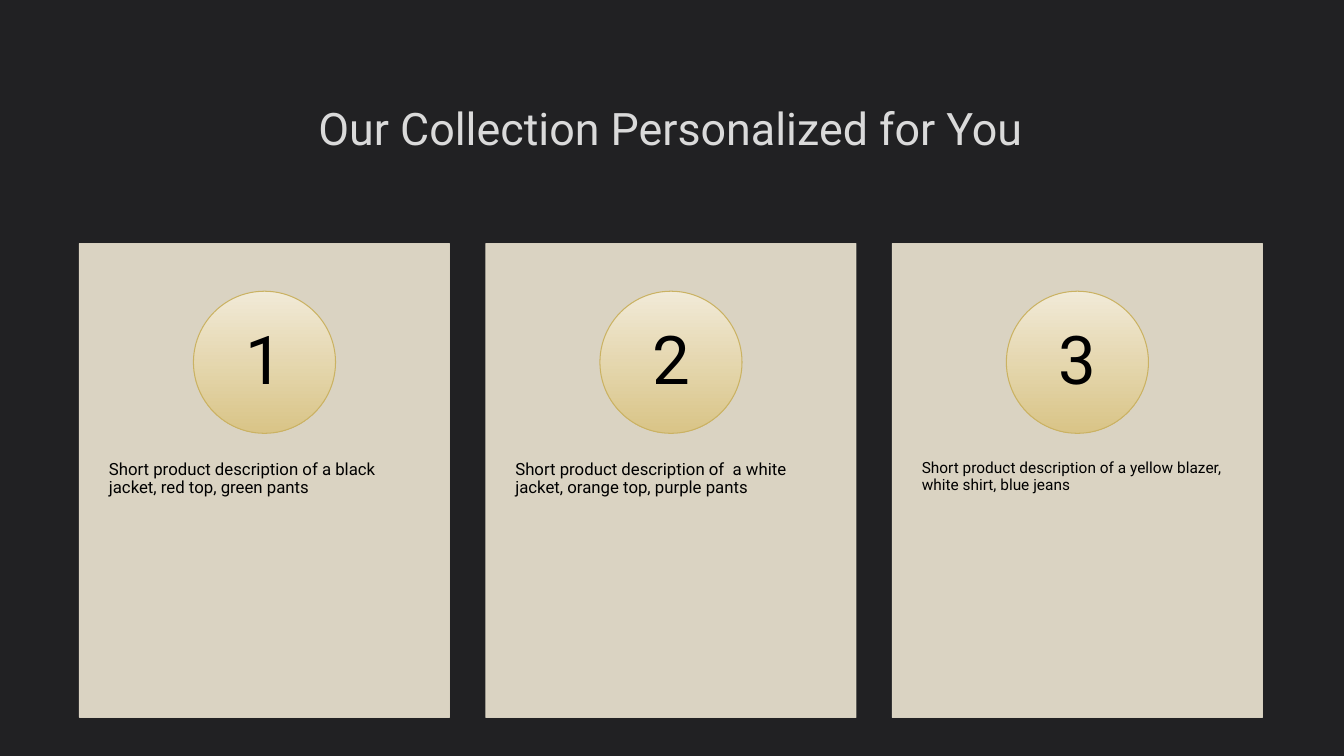
from lxml.etree import SubElement
from pptx import Presentation
from pptx.dml.color import RGBColor
from pptx.enum.shapes import MSO_SHAPE
from pptx.enum.text import MSO_ANCHOR, PP_ALIGN
from pptx.oxml import parse_xml
from pptx.oxml.ns import nsdecls, qn
from pptx.util import Pt

DARK = RGBColor(0x21, 0x21, 0x23)
SILVER = RGBColor(0xDA, 0xDA, 0xDA)
BLACK = RGBColor(0, 0, 0)
CREAM = RGBColor(0xEF, 0xE7, 0xD4)
CREAM_EDGE = RGBColor(0xE4, 0xDD, 0xCB)
GOLD_LIGHT = RGBColor(0xF1, 0xEA, 0xD7)
GOLD_DARK = RGBColor(0xD9, 0xC4, 0x87)
GOLD_EDGE = RGBColor(0xCA, 0xB2, 0x63)

CARDS = [
    ("Short product description of a black jacket, red top, green pants", 12),
    ("Short product description of  a white jacket, orange top, purple pants", 12),
    ("Short product description of a yellow blazer, white shirt, blue jeans", 11),
]


def write(sp, text, size, color=BLACK, align=PP_ALIGN.LEFT,
          anchor=MSO_ANCHOR.TOP, insets=(0, 0, 0, 0), spacing=0.9):
    """Put one formatted paragraph in a shape and return its run."""
    tf = sp.text_frame
    tf.word_wrap = True
    tf.vertical_anchor = anchor
    tf.margin_left, tf.margin_top, tf.margin_right, tf.margin_bottom = map(Pt, insets)
    p = tf.paragraphs[0]
    p.alignment = align
    p.line_spacing = spacing
    r = p.add_run()
    r.text = text
    r.font.size = Pt(size)
    r.font.name = "Roboto"
    r.font.color.rgb = color
    return r


def add_outlined(s, kind, box, edge):
    """Add a shadowless preset shape with a thin line."""
    sp = s.shapes.add_shape(kind, *map(Pt, box))
    sp.shadow.inherit = False
    sp.line.color.rgb = edge
    sp.line.width = Pt(0.75)
    return sp


def add_title(s, text, box):
    """Fill the title placeholder with outlined, shadowed text."""
    sp = s.shapes.title
    sp.left, sp.top, sp.width, sp.height = map(Pt, box)
    r = write(sp, text, 32, SILVER, PP_ALIGN.CENTER, MSO_ANCHOR.MIDDLE,
              (7.2, 3.6, 7.2, 3.6), 1.0)
    rPr = r.font.fill._xPr
    rPr.insert(0, parse_xml(
        f'<a:ln {nsdecls("a")} w="9525"><a:solidFill><a:srgbClr val="404040">'
        '<a:alpha val="10000"/></a:srgbClr></a:solidFill></a:ln>'))
    rPr.find(qn("a:solidFill")).addnext(parse_xml(
        f'<a:effectLst {nsdecls("a")}><a:outerShdw blurRad="38100" dist="25400" '
        'dir="2700000"><a:srgbClr val="000000"><a:alpha val="60000"/>'
        '</a:srgbClr></a:outerShdw></a:effectLst>'))


def add_card(s, number, text, size, box):
    """Draw a card with a numbered gold disc above its description."""
    x, y, w, h = box
    card = add_outlined(s, MSO_SHAPE.RECTANGLE, box, CREAM_EDGE)
    card.fill.solid()
    card.fill.fore_color.rgb = CREAM
    for clr in card._element.spPr.iter(qn("a:srgbClr")):
        SubElement(clr, qn("a:alpha"), val="90000")
    write(card, text, size, insets=(21, 155, 21, 33))

    d = 101.5
    disc = add_outlined(s, MSO_SHAPE.OVAL, (x + (w - d) / 2, y + 34, d, d), GOLD_EDGE)
    disc.fill.gradient()
    disc.fill.gradient_angle = 270
    for stop, color, pos in zip(disc.fill.gradient_stops, (GOLD_LIGHT, GOLD_DARK), (0, 1)):
        stop.color.rgb = color
        stop.position = pos
    write(disc, str(number), 48, align=PP_ALIGN.CENTER, anchor=MSO_ANCHOR.MIDDLE)


def add_cards(s, cards, box, gap):
    """Spread equal cards across the box."""
    x, y, w, h = box
    card_w = (w - gap * (len(cards) - 1)) / len(cards)
    for i, (text, size) in enumerate(cards):
        add_card(s, i + 1, text, size, (x + i * (card_w + gap), y, card_w, h))


def main():
    """Build and save the collection slide."""
    prs = Presentation()
    prs.slide_width, prs.slide_height = Pt(960), Pt(540)
    s = prs.slides.add_slide(prs.slide_layouts[5])
    s.background.fill.solid()
    s.background.fill.fore_color.rgb = DARK
    add_title(s, "Our Collection Personalized for You", (57, 49, 844.5, 84))
    add_cards(s, CARDS, (56.75, 174, 845, 338.5), 26)
    prs.save("out.pptx")


if __name__ == "__main__":
    main()
